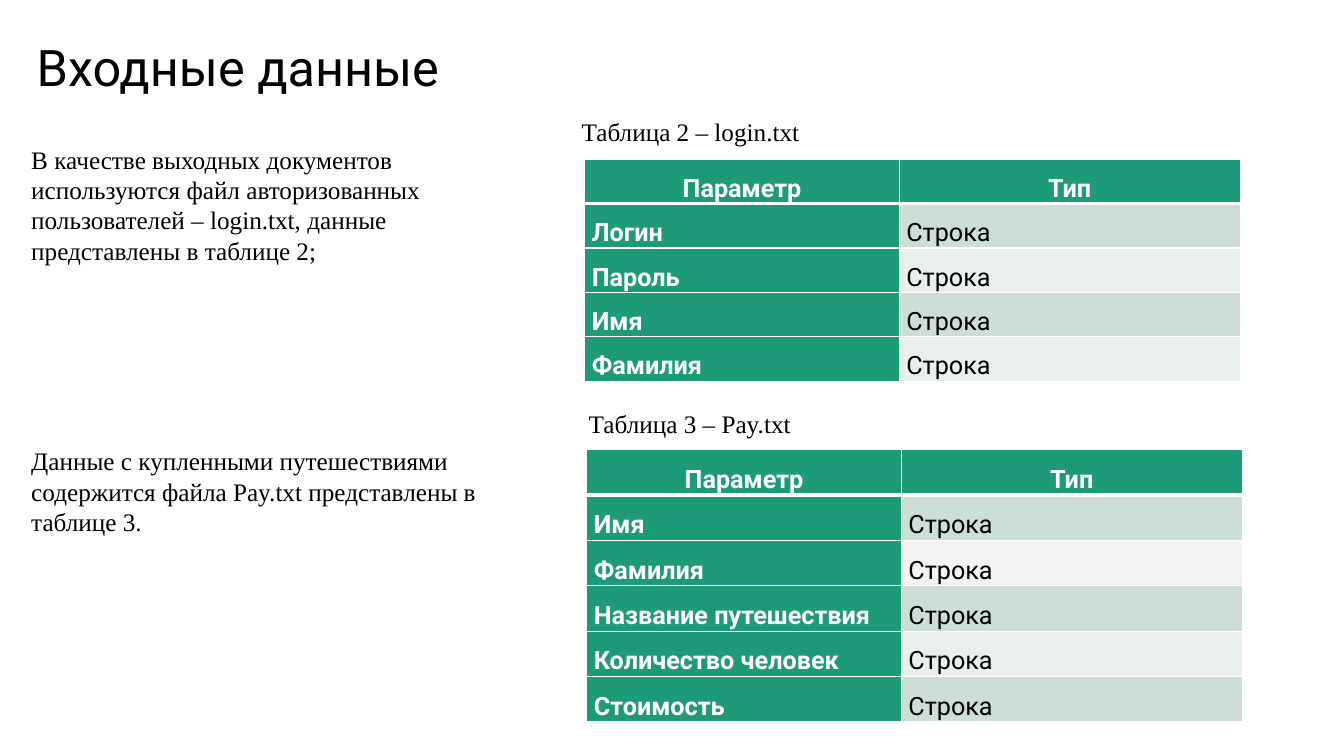
from dataclasses import dataclass

from lxml.etree import SubElement
from pptx import Presentation
from pptx.dml.color import RGBColor
from pptx.enum.text import MSO_ANCHOR, MSO_AUTO_SIZE, PP_ALIGN
from pptx.oxml.ns import qn
from pptx.util import Inches, Pt

HEADING = "Входные\u00a0данные"
DESCRIPTIONS = [
    "В качестве выходных документов используются файл авторизованных "
    "пользователей – login.txt, данные представлены в таблице 2;",
    "Данные с купленными путешествиями содержится файла Pay.txt "
    "представлены в таблице 3.",
]
COLUMN_TITLES = ("Параметр", "Тип")
FILES = [
    {
        "caption": "Таблица\u00a02 – login.txt",
        "caption_at": (5.67, 1.11),
        "table_at": (5.8, 1.58),
        "fields": [
            ("Логин", "Строка", "dark"),
            ("Пароль", "Строка", "light"),
            ("Имя", "Строка", "dark"),
            ("Фамилия", "Строка", "light"),
        ],
    },
    {
        "caption": "Таблица\u00a03 – Pay.txt",
        "caption_at": (5.74, 4),
        "table_at": (5.82, 4.46),
        "fields": [
            ("Имя", "Строка", "dark"),
            ("Фамилия", "Строка", "grey"),
            ("Название путешествия", "Строка", "dark"),
            ("Количество человек", "Строка", "light"),
            ("Стоимость", "Строка", "dark"),
        ],
    },
]

HEADING_BOX = (0.21, 0.21, 4.3, 0.97)
DESCRIPTION_BOX = (0.21, 1.38, 4.84, 4.34)
DESCRIPTION_GAP = 129
CAPTION_SIZE = (3, 0.4)
COLUMN_WIDTHS = (3.12, 3.38)
ROW_HEIGHT = 0.39
CELL_INSET = 0.07


@dataclass(frozen=True)
class Theme:
    text: str = "000000"
    inverse: str = "FFFFFF"
    accent: str = "1D9A78"
    dark: str = "CDDED6"
    light: str = "E8EFEC"
    grey: str = "F2F2F2"
    heading_size: int = 36
    text_size: int = 18
    sans: str = "Roboto"
    serif: str = "Times New Roman"
    thin: int = 1
    thick: int = 3


THEME = Theme()


def place(shape, box):
    shape.left, shape.top, shape.width, shape.height = map(Inches, box)


def write(paragraph, text, font, size=THEME.text_size, color=THEME.text, bold=False):
    run = paragraph.add_run()
    run.text = text
    run.font.name = font
    run.font.size = Pt(size)
    run.font.bold = bold
    run.font.color.rgb = RGBColor.from_string(color)


def draw_border(cell, side, width):
    border = SubElement(cell._tc.get_or_add_tcPr(), qn(f"a:ln{side}"), w=str(Pt(width)))
    SubElement(SubElement(border, qn("a:solidFill")), qn("a:srgbClr"), val=THEME.inverse)


def fill_cell(cell, text, row, fill, emphasized):
    for side in "LRTB":
        under_header = (row, side) in ((0, "B"), (1, "T"))
        draw_border(cell, side, THEME.thick if under_header else THEME.thin)
    cell.fill.solid()
    cell.fill.fore_color.rgb = RGBColor.from_string(fill)
    cell.vertical_anchor = MSO_ANCHOR.MIDDLE
    cell.margin_left = cell.margin_right = Inches(CELL_INSET)
    cell.margin_top = cell.margin_bottom = 0
    paragraph = cell.text_frame.paragraphs[0]
    paragraph.alignment = PP_ALIGN.CENTER if row == 0 else PP_ALIGN.LEFT
    paragraph.line_spacing = 1.5
    color = THEME.inverse if emphasized else THEME.text
    write(paragraph, text, THEME.sans, color=color, bold=emphasized)


def add_heading(slide):
    heading = slide.shapes.title
    place(heading, HEADING_BOX)
    heading.text_frame.vertical_anchor = MSO_ANCHOR.MIDDLE
    paragraph = heading.text_frame.paragraphs[0]
    paragraph.alignment = PP_ALIGN.CENTER
    paragraph.line_spacing = 0.9
    write(paragraph, HEADING, THEME.sans, THEME.heading_size)


def add_descriptions(slide):
    body = slide.placeholders[1]
    place(body, DESCRIPTION_BOX)
    frame = body.text_frame
    frame.auto_size = MSO_AUTO_SIZE.NONE
    for index, description in enumerate(DESCRIPTIONS):
        paragraph = frame.add_paragraph() if index else frame.paragraphs[0]
        paragraph.space_before = Pt(DESCRIPTION_GAP if index else 0)
        properties = paragraph._p.get_or_add_pPr()
        properties.set("marL", "0")
        properties.set("indent", "0")
        SubElement(properties, qn("a:buNone"))
        write(paragraph, description, THEME.serif)


def add_file_table(slide, file):
    rows = [(*COLUMN_TITLES, "accent"), *file["fields"]]
    size = (sum(COLUMN_WIDTHS), ROW_HEIGHT * len(rows))
    table = slide.shapes.add_table(
        len(rows), len(COLUMN_WIDTHS), *map(Inches, (*file["table_at"], *size))
    ).table
    table.horz_banding = False
    for column, width in zip(table.columns, COLUMN_WIDTHS):
        column.width = Inches(width)
    for row, (parameter, kind, tone) in enumerate(rows):
        fill_cell(table.cell(row, 0), parameter, row, THEME.accent, True)
        fill_cell(table.cell(row, 1), kind, row, getattr(THEME, tone), row == 0)


def add_caption(slide, file):
    caption = slide.shapes.add_textbox(*map(Inches, (*file["caption_at"], *CAPTION_SIZE)))
    caption.text_frame.word_wrap = True
    write(caption.text_frame.paragraphs[0], file["caption"], THEME.serif)


def main():
    presentation = Presentation()
    presentation.slide_width = Inches(13.33)
    presentation.slide_height = Inches(7.5)
    slide = presentation.slides.add_slide(presentation.slide_layouts[1])
    add_heading(slide)
    add_descriptions(slide)
    for file in FILES:
        add_file_table(slide, file)
        add_caption(slide, file)
    presentation.save("out.pptx")


if __name__ == "__main__":
    main()
